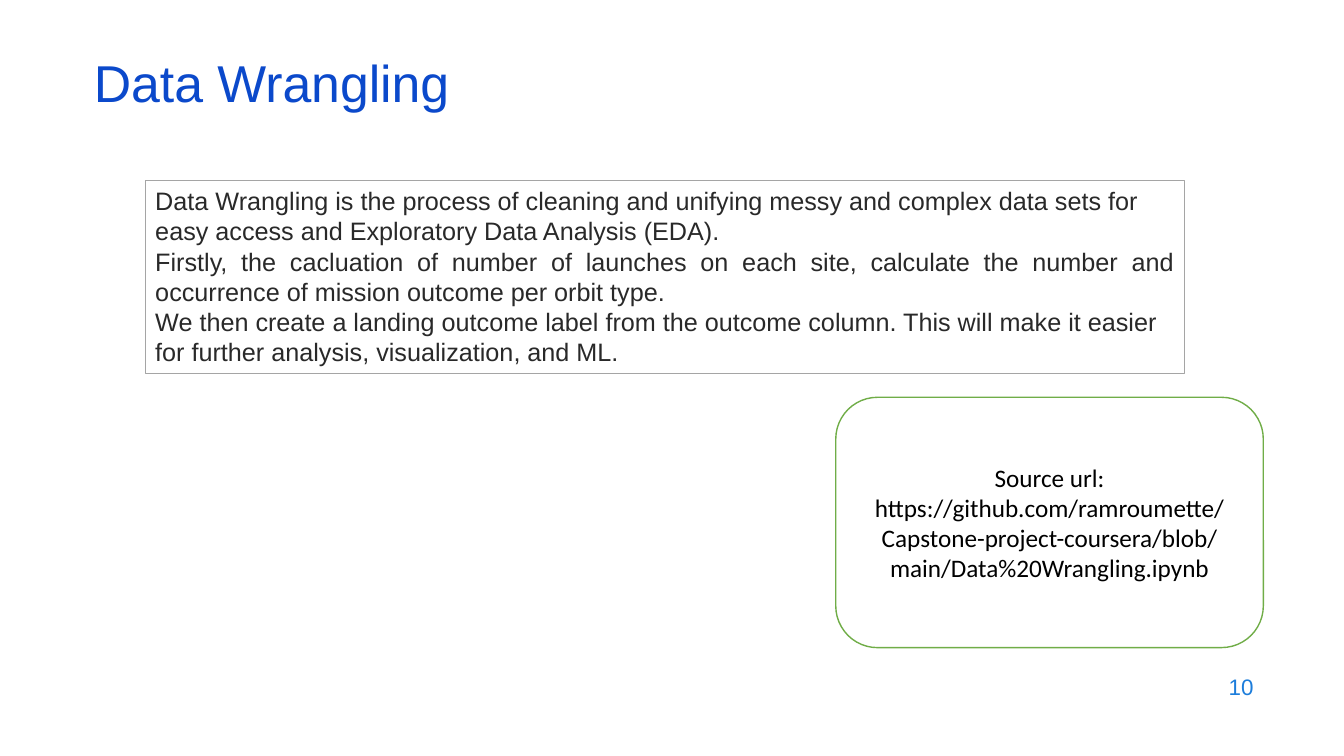
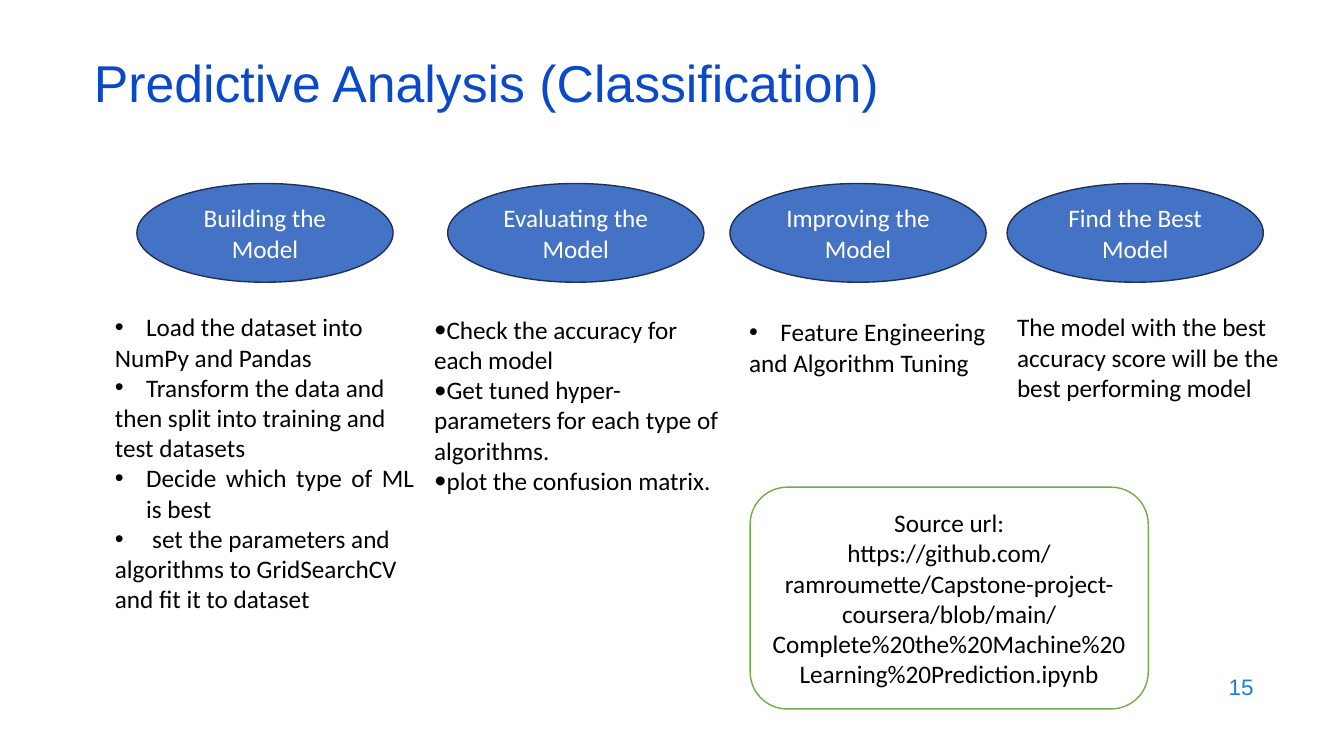
from dataclasses import dataclass
from typing import NamedTuple

from lxml import etree
from pptx import Presentation
from pptx.dml.color import RGBColor
from pptx.enum.shapes import MSO_SHAPE
from pptx.enum.text import MSO_ANCHOR, MSO_AUTO_SIZE, PP_ALIGN
from pptx.oxml.ns import qn
from pptx.util import Emu, Inches, Pt

RECT, ROUNDED, OVAL = MSO_SHAPE.RECTANGLE, MSO_SHAPE.ROUNDED_RECTANGLE, MSO_SHAPE.OVAL
TOP, MIDDLE = MSO_ANCHOR.TOP, MSO_ANCHOR.MIDDLE
LEFT, CENTER, RIGHT, JUSTIFY = PP_ALIGN.LEFT, PP_ALIGN.CENTER, PP_ALIGN.RIGHT, PP_ALIGN.JUSTIFY
GROW = MSO_AUTO_SIZE.SHAPE_TO_FIT_TEXT

# The slide is a grid of 160 columns by 90 rows of square cells.
COLUMNS, ROWS = 160, 90
CELL = Inches(1) // 12
HANGING = 0.31


class Font(NamedTuple):
    face: str
    size: int
    color: str


class Paint(NamedTuple):
    fill: str
    line: str
    width: float


@dataclass(frozen=True)
class Theme:
    title: Font = Font("Arial", 37, "0B49CB")
    page: Font = Font("Arial", 16, "1C7DDB")
    narrative: Font = Font("Arial", 18, "292929")
    body: Font = Font("Calibri", 18, "000000")
    stage: Font = Font("Calibri", 18, "FFFFFF")
    narrative_box: Paint = Paint("FFFFFF", "A5A5A5", 0.5)
    link_box: Paint = Paint("FFFFFF", "70AD47", 1)
    stage_oval: Paint = Paint("4472C4", "1E3256", 1)


THEME = Theme()


class Cells(NamedTuple):
    """A place on the grid."""
    column: float
    row: float
    columns: float
    rows: float

    def emu(self) -> list[Emu]:
        return [Emu(round(length * CELL)) for length in self]


@dataclass(frozen=True)
class Line:
    """One paragraph; a bullet is drawn when hanging is given (inches)."""
    text: str
    align: PP_ALIGN = LEFT
    hanging: float | None = None


class Stage(NamedTuple):
    name: str
    oval_column: float
    steps_place: Cells
    steps: list[Line]


TITLE_PLACE = Cells(10, 7.1, 138, 7.2)
PAGE_PLACE = Cells(114.4, 79.1, 36, 5.3)
NARRATIVE_PLACE = Cells(17.3, 21.5, 123.7, 23)
OVAL_ROW, OVAL_COLUMNS, OVAL_ROWS = 21.84, 30.5, 11.76
REPOSITORY = "https://github.com/ramroumette/Capstone-project-coursera/blob/main/"

NARRATIVE = [
    Line("Data Wrangling is the process of cleaning and unifying messy and complex "
         "data sets for easy access and Exploratory Data Analysis (EDA)."),
    Line("Firstly, the cacluation of number of launches on each site, calculate the "
         "number and occurrence of mission outcome per orbit type.", JUSTIFY),
    Line("We then create a landing outcome label from the outcome column. This will "
         "make it easier for further analysis, visualization, and ML."),
]

STAGES = [
    Stage("Building the Model", 16.3, Cells(12.5, 36.5, 38, 37.6), [
        Line("Load the dataset into", hanging=HANGING),
        Line("NumPy and Pandas"),
        Line("Transform the data and", hanging=HANGING),
        Line("then split into training and"),
        Line("test datasets"),
        Line("Decide which type of ML is best", JUSTIFY, HANGING),
        Line("set the parameters and", JUSTIFY, HANGING + 0.06),
        Line("algorithms to GridSearchCV"),
        Line("and fit it to dataset"),
    ]),
    Stage("Evaluating the Model", 53.3, Cells(50.5, 36.8, 37.4, 23), [
        Line("Check the accuracy for each model", hanging=0),
        Line("Get tuned hyper-parameters for each type of algorithms.", hanging=0),
        Line("plot the confusion matrix.", hanging=0),
    ]),
    Stage("Improving the Model", 86.9, Cells(88, 37.1, 33.6, 8.5), [
        Line("Feature Engineering", hanging=HANGING),
        Line("and Algorithm Tuning"),
    ]),
    Stage("Find the Best Model", 119.9, Cells(119.9, 36.5, 33.6, 15.7), [
        Line("The model with the best"),
        Line("accuracy score will be the best performing model"),
    ]),
]


def add_bullet(paragraph, hanging: float, face: str) -> None:
    properties = paragraph._p.get_or_add_pPr()
    properties.set("marL", str(Inches(hanging)))
    properties.set("indent", str(-Inches(hanging)))
    etree.SubElement(properties, qn("a:buFont")).set("typeface", face)
    etree.SubElement(properties, qn("a:buChar")).set("char", "•")


def write(shape, lines: list[Line], font: Font, anchor=TOP, grow=False) -> None:
    frame = shape.text_frame
    frame.word_wrap = True
    frame.vertical_anchor = anchor
    if grow:
        frame.auto_size = GROW
    frame.text = "\n".join(line.text for line in lines)
    for paragraph, line in zip(frame.paragraphs, lines):
        paragraph.alignment = line.align
        if line.hanging is not None:
            add_bullet(paragraph, line.hanging, "Arial" if line.hanging else font.face)
        for run in paragraph.runs:
            run.font.name = font.face
            run.font.size = Pt(font.size)
            run.font.color.rgb = RGBColor.from_string(font.color)


def add_text(slide, place: Cells, lines: list[Line], font: Font, anchor=TOP, grow=False):
    box = slide.shapes.add_textbox(*place.emu())
    write(box, lines, font, anchor, grow)
    return box


def add_panel(slide, preset, place: Cells, paint: Paint):
    panel = slide.shapes.add_shape(preset, *place.emu())
    panel.shadow.inherit = False
    panel.fill.solid()
    panel.fill.fore_color.rgb = RGBColor.from_string(paint.fill)
    panel.line.color.rgb = RGBColor.from_string(paint.line)
    panel.line.width = Pt(paint.width)
    return panel


def add_slide(deck, title: str, page: int):
    """Blank slide with the shared title and page number."""
    slide = deck.slides.add_slide(deck.slide_layouts[6])
    add_text(slide, PAGE_PLACE, [Line(str(page), RIGHT)], THEME.page, MIDDLE)
    heading = add_text(slide, TITLE_PLACE, [Line(title)], THEME.title, MIDDLE)
    heading.text_frame.paragraphs[0].line_spacing = 0.7
    return slide


def add_link(slide, place: Cells, notebook: str) -> None:
    panel = add_panel(slide, ROUNDED, place, THEME.link_box)
    lines = [Line("Source url:", CENTER), Line(REPOSITORY + notebook, CENTER)]
    write(panel, lines, THEME.body, MIDDLE)


def add_stage(slide, stage: Stage) -> None:
    place = Cells(stage.oval_column, OVAL_ROW, OVAL_COLUMNS, OVAL_ROWS)
    oval = add_panel(slide, OVAL, place, THEME.stage_oval)
    write(oval, [Line(stage.name, CENTER)], THEME.stage, MIDDLE)
    add_text(slide, stage.steps_place, stage.steps, THEME.body, grow=True)


def build_wrangling(deck) -> None:
    slide = add_slide(deck, "Data Wrangling", 10)
    panel = add_panel(slide, RECT, NARRATIVE_PLACE, THEME.narrative_box)
    write(panel, NARRATIVE, THEME.narrative, grow=True)
    add_link(slide, Cells(99.5, 47.3, 50.9, 29.8), "Data%20Wrangling.ipynb")


def build_classification(deck) -> None:
    slide = add_slide(deck, "Predictive Analysis (Classification)", 15)
    for stage in STAGES:
        add_stage(slide, stage)
    add_link(slide, Cells(89.3, 58, 47.4, 26.4),
             "Complete%20the%20Machine%20Learning%20Prediction.ipynb")


def main() -> None:
    deck = Presentation()
    deck.slide_width = Emu(COLUMNS * CELL)
    deck.slide_height = Emu(ROWS * CELL)
    build_wrangling(deck)
    build_classification(deck)
    deck.save("out.pptx")


if __name__ == "__main__":
    main()
